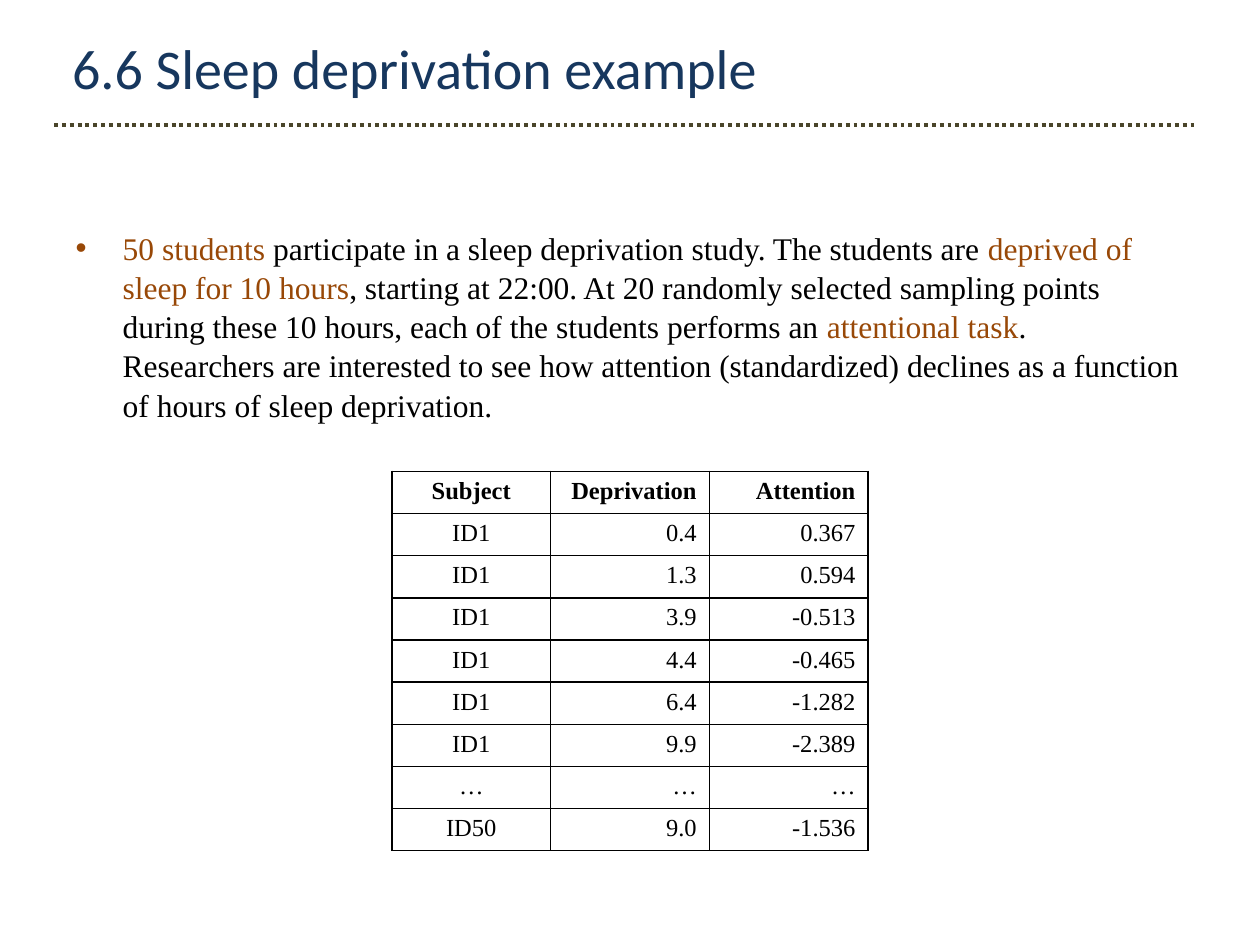
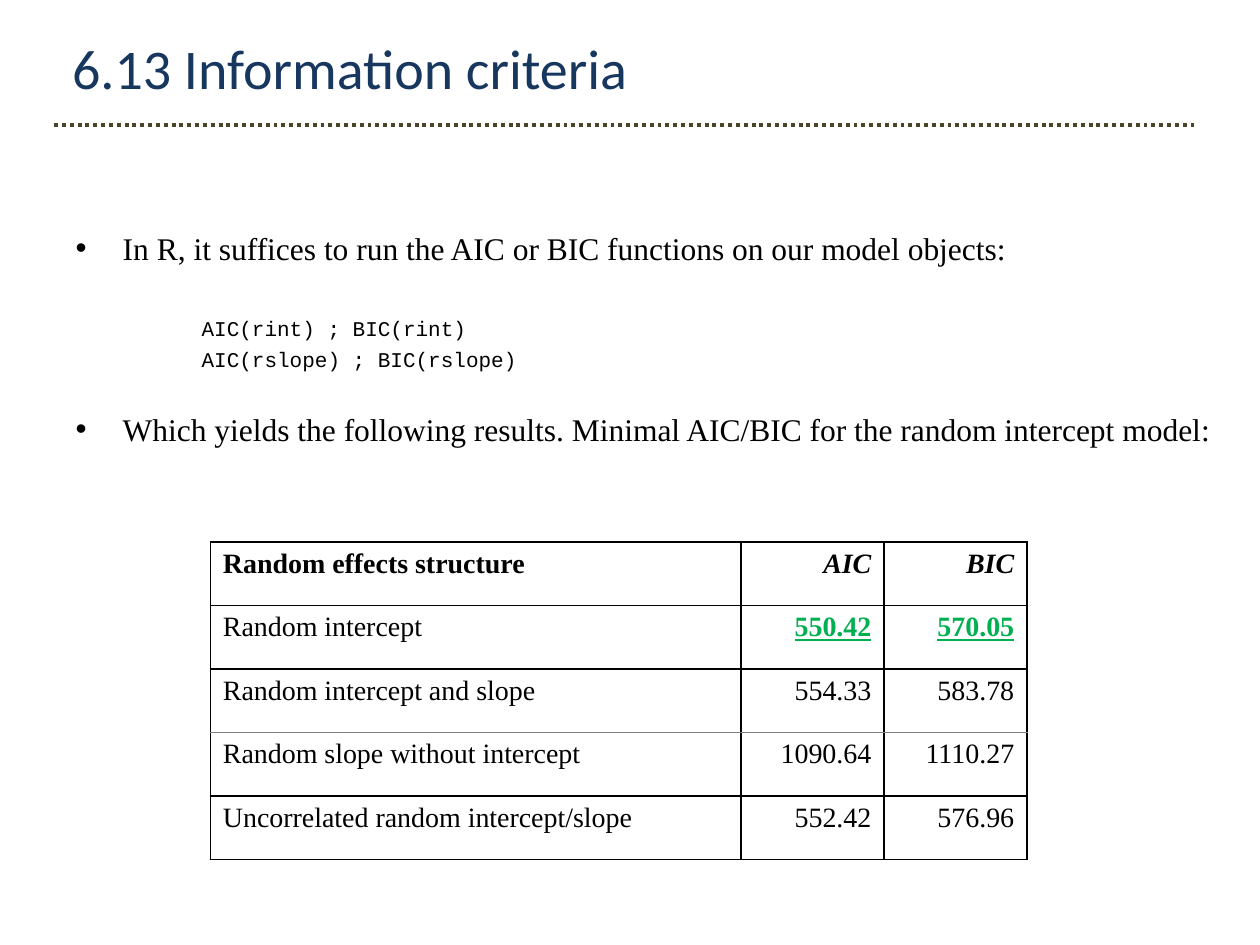
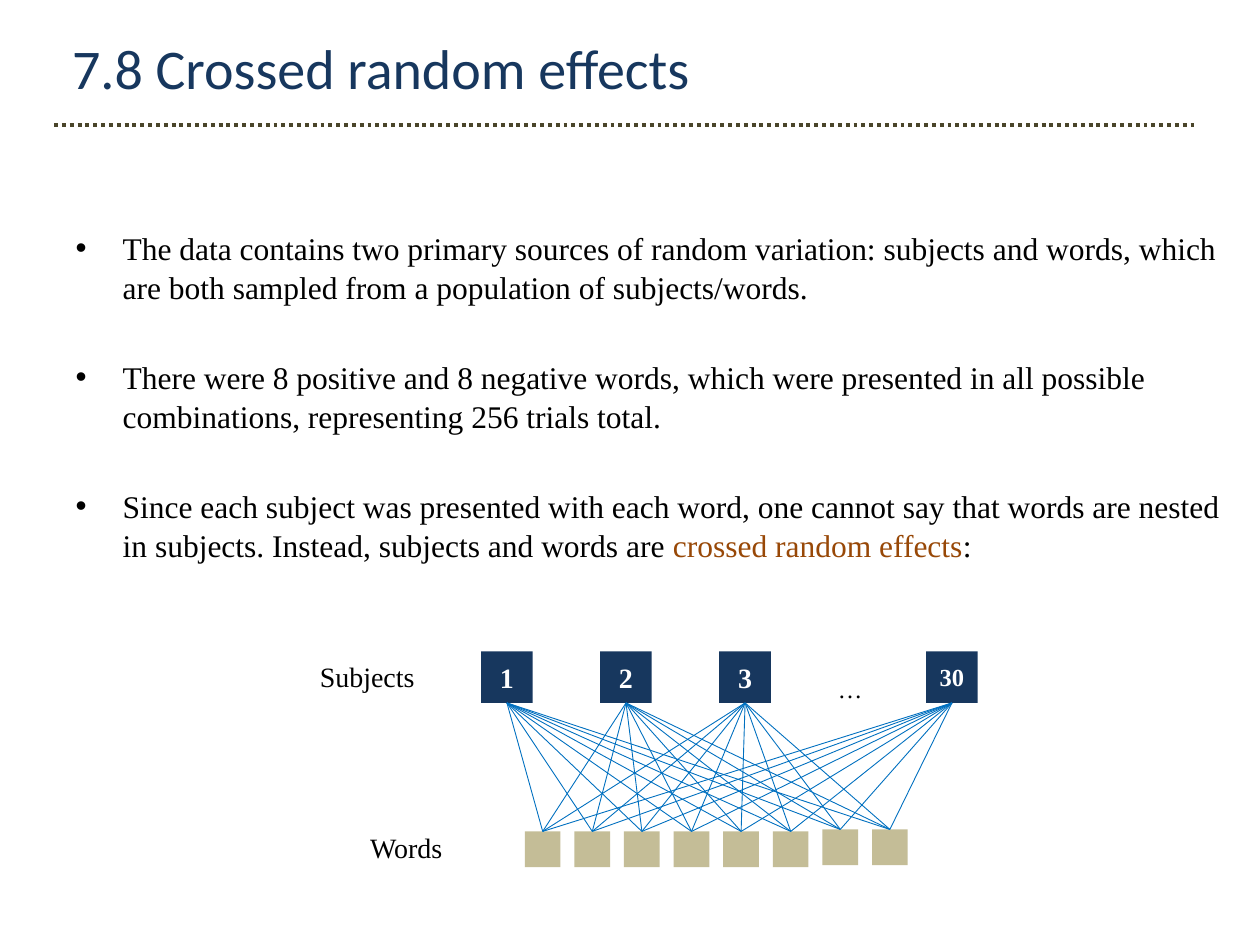
from dataclasses import dataclass
from itertools import product

from lxml.etree import SubElement
from pptx import Presentation
from pptx.dml.color import RGBColor
from pptx.enum.dml import MSO_LINE
from pptx.enum.shapes import MSO_CONNECTOR, MSO_SHAPE
from pptx.enum.text import MSO_ANCHOR, MSO_AUTO_SIZE, PP_ALIGN
from pptx.oxml.ns import qn
from pptx.shapes.autoshape import Shape
from pptx.shapes.connector import Connector
from pptx.slide import Slide
from pptx.table import _Cell
from pptx.util import Cm, Pt

COLORS = {
    "title": "17375E",
    "rule": "4A452A",
    "text": "000000",
    "emphasis": "984807",
    "best": "00B050",
    "white": "FFFFFF",
    "grey": "808080",
    "link": "0070C0",
    "subject": "17375E",
    "word": "C4BD97",
}
SERIF = "Times New Roman"
CODE = "Courier New"
BULLET_INDENT = 0.95
BORDER_WIDTH = 0.96


@dataclass(frozen=True)
class Piece:
    """A stretch of text in one colour."""

    text: str
    color: str = "text"


@dataclass(frozen=True)
class Item:
    """A paragraph of the body, either a bullet or a line of code."""

    pieces: tuple[Piece, ...]
    space_before: float = 0
    is_code: bool = False


@dataclass(frozen=True)
class Label:
    """A free text at a place given in centimetres."""

    text: str
    left: float
    top: float
    width: float
    height: float
    size: int


@dataclass(frozen=True)
class Grid:
    """A table with its place in centimetres and its text format."""

    left: float
    top: float
    widths: tuple[float, ...]
    row_height: float
    size: int
    alignments: tuple[PP_ALIGN, ...]
    rows: tuple[tuple[str, ...], ...]
    italic_headers: tuple[str, ...] = ()
    best_values: tuple[str, ...] = ()
    grey_below_row: int = -1


def rgb(color: str) -> RGBColor:
    """Return the named colour."""
    return RGBColor.from_string(COLORS[color])


def write(paragraph, text: str, *, font: str = SERIF, size: float = 18, color: str = "text",
          bold: bool = False, italic: bool = False, underline: bool = False) -> None:
    """Add formatted text to a paragraph."""
    run = paragraph.add_run()
    run.text = text
    run.font.name = font
    run.font.size = Pt(size)
    run.font.color.rgb = rgb(color)
    run.font.bold = bold
    run.font.italic = italic
    run.font.underline = underline


def place(shape: Shape, left: float, top: float, width: float, height: float) -> None:
    """Move and size a shape in centimetres."""
    shape.left, shape.top, shape.width, shape.height = map(Cm, (left, top, width, height))


def set_bullet(paragraph, color: str | None) -> None:
    """Give a paragraph a hanging bullet, or an indent without one."""
    properties = paragraph._p.get_or_add_pPr()
    if color is None:
        properties.set("marL", str(Cm(2.54)))
        properties.set("indent", "0")
        SubElement(properties, qn("a:buNone"))
        return
    properties.set("marL", str(Cm(BULLET_INDENT)))
    properties.set("indent", str(-Cm(BULLET_INDENT)))
    bullet_color = SubElement(properties, qn("a:buClr"))
    SubElement(bullet_color, qn("a:srgbClr"), val=COLORS[color])
    SubElement(properties, qn("a:buFont"), typeface="Arial")
    SubElement(properties, qn("a:buChar"), char="•")


def style_line(connector: Connector, color: str, width: float) -> None:
    """Colour a connector and take its shadow away."""
    connector.line.color.rgb = rgb(color)
    connector.line.width = Pt(width)
    SubElement(connector._element.spPr, qn("a:effectLst"))


def add_content_slide(presentation, title: str, items: tuple[Item, ...],
                      body_width: float, body_height: float) -> Slide:
    """Add a slide with the shared title, dotted rule and body list."""
    slide = presentation.slides.add_slide(presentation.slide_layouts[1])
    title_shape, body = slide.placeholders
    place(title_shape, 1.2, 0.54, 22.7, 1.6)
    place(body, 1.27, 4.45, body_width, body_height)
    for shape in (title_shape, body):
        shape.text_frame.auto_size = MSO_AUTO_SIZE.NONE
        shape.text_frame.vertical_anchor = MSO_ANCHOR.TOP
    heading = title_shape.text_frame.paragraphs[0]
    heading.alignment = PP_ALIGN.LEFT
    write(heading, title, font="Calibri", size=32, color="title")

    for index, item in enumerate(items):
        frame = body.text_frame
        paragraph = frame.add_paragraph() if index else frame.paragraphs[0]
        set_bullet(paragraph, None if item.is_code else item.pieces[0].color)
        paragraph.space_before = Pt(item.space_before)
        paragraph.line_spacing = 1.04
        for piece in item.pieces:
            write(paragraph, piece.text, color=piece.color,
                  font=CODE if item.is_code else SERIF, size=12 if item.is_code else 18)

    rule = slide.shapes.add_connector(MSO_CONNECTOR.STRAIGHT, Cm(1.09), Cm(2.52), Cm(24.1), Cm(2.52))
    style_line(rule, "rule", 2.25)
    rule.line.dash_style = MSO_LINE.ROUND_DOT
    return slide


def set_borders(cell: _Cell, **side_colors: str) -> None:
    """Draw the four borders of a cell, black unless a side names a colour."""
    properties = cell._tc.get_or_add_tcPr()
    for side in "LRTB":
        line = SubElement(properties, qn(f"a:ln{side}"), w=str(Pt(BORDER_WIDTH)))
        fill = SubElement(line, qn("a:solidFill"))
        SubElement(fill, qn("a:srgbClr"), val=COLORS[side_colors.get(side, "text")])


def add_grid(slide: Slide, grid: Grid) -> None:
    """Draw a bordered table with a bold header row."""
    row_count = len(grid.rows)
    table = slide.shapes.add_table(
        row_count, len(grid.widths), Cm(grid.left), Cm(grid.top),
        Cm(sum(grid.widths)), Cm(grid.row_height * row_count)).table
    table.first_row = table.horz_banding = False
    for column, width in zip(table.columns, grid.widths):
        column.width = Cm(width)
    for row_index, values in enumerate(grid.rows):
        table.rows[row_index].height = Cm(grid.row_height)
        side_colors = {}
        if row_index == grid.grey_below_row:
            side_colors["B"] = "grey"
        elif row_index == grid.grey_below_row + 1 and row_index:
            side_colors["T"] = "grey"
        for column_index, value in enumerate(values):
            cell = table.cell(row_index, column_index)
            set_borders(cell, **side_colors)
            cell.fill.background()
            paragraph = cell.text_frame.paragraphs[0]
            paragraph.alignment = grid.alignments[column_index]
            is_best = value in grid.best_values
            write(paragraph, value, size=grid.size, color="best" if is_best else "text",
                  bold=is_best or row_index == 0, underline=is_best,
                  italic=value in grid.italic_headers)


def add_square(slide: Slide, left: float, top: float, side: float, color: str) -> Shape:
    """Draw a plain filled square."""
    square = slide.shapes.add_shape(MSO_SHAPE.RECTANGLE, Cm(left), Cm(top), Cm(side), Cm(side))
    square.shadow.inherit = False
    square.fill.solid()
    square.fill.fore_color.rgb = rgb(color)
    square.line.fill.background()
    return square


def add_subject(slide: Slide, name: str, left: float, size: int) -> Shape:
    """Draw a numbered subject square."""
    square = add_square(slide, left, 13.13, 1.04, "subject")
    frame = square.text_frame
    frame.word_wrap = True
    frame.vertical_anchor = MSO_ANCHOR.MIDDLE
    frame.paragraphs[0].alignment = PP_ALIGN.CENTER
    write(frame.paragraphs[0], name, size=size, color="white", bold=True)
    return square


def add_label(slide: Slide, label: Label) -> None:
    """Add a text box that does not wrap."""
    box = slide.shapes.add_textbox(Cm(label.left), Cm(label.top), Cm(label.width), Cm(label.height))
    box.text_frame.word_wrap = False
    write(box.text_frame.paragraphs[0], label.text, size=label.size)


def add_crossed_diagram(slide: Slide) -> None:
    """Join every subject to every word."""
    subjects = [add_subject(slide, str(index + 1), 9.7 + 2.4 * index, 16) for index in range(3)]
    subjects.append(add_subject(slide, "30", 18.67, 14))
    words = [add_square(slide, 10.58 + index, 16.76 if index < 6 else 16.72, 0.72, "word")
             for index in range(8)]
    for subject, word in product(subjects, words):
        link = slide.shapes.add_connector(MSO_CONNECTOR.STRAIGHT, 0, 0, 0, 0)
        link.begin_connect(subject, 2)
        link.end_connect(word, 0)
        style_line(link, "link", 0.5)
    for label in (
        Label("Subjects", 6.2, 13.18, 2.41, 0.91, 16),
        Label("Words", 7.21, 16.61, 1.96, 0.91, 16),
        Label("…", 16.64, 13.46, 0.99, 0.84, 14),
    ):
        add_label(slide, label)


SLEEP_ITEMS = (
    Item((
        Piece("50 students ", "emphasis"),
        Piece("participate in a sleep deprivation study. The students are "),
        Piece("deprived of sleep for 10 hours", "emphasis"),
        Piece(", starting at 22:00. At 20 randomly selected sampling points during these "
              "10 hours, each of the students performs an "),
        Piece("attentional task", "emphasis"),
        Piece(". Researchers are interested to see how attention (standardized) declines "
              "as a function of hours of sleep deprivation."),
    )),
)
SLEEP_GRID = Grid(
    left=7.9, top=9.5, widths=(3.2, 3.2, 3.2), row_height=0.85, size=14,
    alignments=(PP_ALIGN.CENTER, PP_ALIGN.RIGHT, PP_ALIGN.RIGHT),
    rows=(
        ("Subject", "Deprivation", "Attention"),
        ("ID1", "0.4", "0.367"),
        ("ID1", "1.3", "0.594"),
        ("ID1", "3.9", "-0.513"),
        ("ID1", "4.4", "-0.465"),
        ("ID1", "6.4", "-1.282"),
        ("ID1", "9.9", "-2.389"),
        ("…", "…", "…"),
        ("ID50", "9.0", "-1.536"),
    ),
)
CRITERIA_ITEMS = (
    Item((Piece("In R, it suffices to run the AIC or BIC functions on our model objects:"),)),
    Item((Piece("AIC(rint) ; BIC(rint)"),), 27.5, True),
    Item((Piece("AIC(rslope) ; BIC(rslope)"),), 2.8, True),
    Item((Piece("Which yields the following results. Minimal AIC/BIC for the random "
                "intercept model:"),), 21),
)
CRITERIA_GRID = Grid(
    left=4.24, top=10.93, widths=(10.7, 2.88, 2.88), row_height=1.28, size=16,
    alignments=(PP_ALIGN.LEFT, PP_ALIGN.RIGHT, PP_ALIGN.RIGHT),
    rows=(
        ("Random effects structure", "AIC", "BIC"),
        ("Random intercept", "550.42", "570.05"),
        ("Random intercept and slope", "554.33", "583.78"),
        ("Random slope without intercept", "1090.64", "1110.27"),
        ("Uncorrelated random intercept/slope", "552.42", "576.96"),
    ),
    italic_headers=("AIC", "BIC"), best_values=("550.42", "570.05"), grey_below_row=2,
)
CROSSED_ITEMS = (
    Item((Piece("The data contains two primary sources of random variation: subjects and words, "
                "which are both sampled from a population of subjects/words."),)),
    Item((Piece("There were 8 positive and 8 negative words, which were presented in all "
                "possible combinations, representing 256 trials total."),), 29),
    Item((
        Piece("Since each subject was presented with each word, one cannot say that words are "
              "nested in subjects. Instead, subjects and words are "),
        Piece("crossed random effects", "emphasis"),
        Piece(":"),
    ), 29),
)


def main() -> None:
    """Build the presentation and save it."""
    presentation = Presentation()
    presentation.slide_width, presentation.slide_height = Cm(25.4), Cm(19.05)
    sleep = add_content_slide(presentation, "6.6 Sleep deprivation example", SLEEP_ITEMS, 22.86, 13.69)
    add_grid(sleep, SLEEP_GRID)
    criteria = add_content_slide(presentation, "6.13 Information criteria", CRITERIA_ITEMS, 23.62, 12.88)
    add_grid(criteria, CRITERIA_GRID)
    crossed = add_content_slide(presentation, "7.8 Crossed random effects", CROSSED_ITEMS, 23.62, 13.49)
    add_crossed_diagram(crossed)
    presentation.save("out.pptx")


if __name__ == "__main__":
    main()
